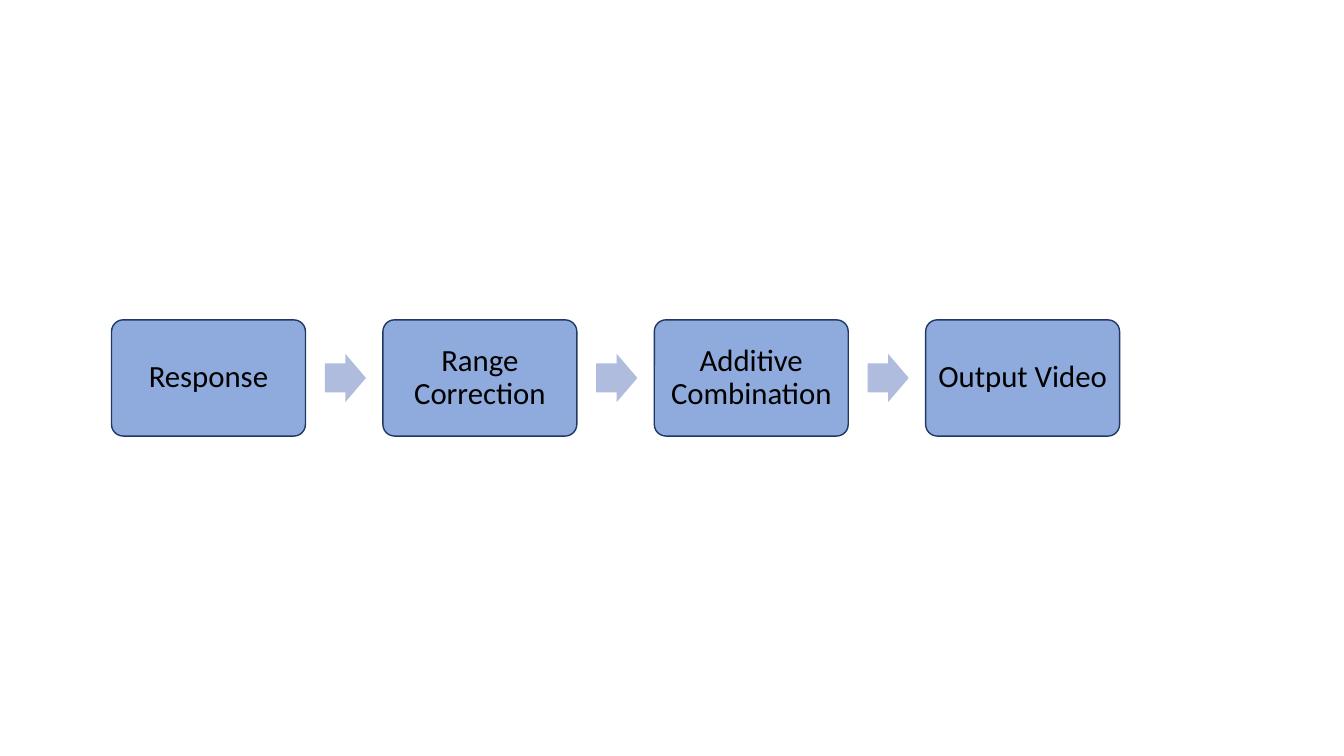
from dataclasses import dataclass

from pptx import Presentation
from pptx.dml.color import RGBColor
from pptx.enum.shapes import MSO_SHAPE
from pptx.enum.text import MSO_ANCHOR, PP_ALIGN
from pptx.shapes.autoshape import Shape
from pptx.slide import Slide
from pptx.util import Pt

BLUE = RGBColor(0x8F, 0xAA, 0xDC)
NAVY = RGBColor(0x20, 0x38, 0x64)
PALE = RGBColor(0xB0, 0xBC, 0xDE)
BLACK = RGBColor(0x00, 0x00, 0x00)

# Layout of the row, in points
LEFT = 79.7
PITCH = 193.85
MIDDLE = 270
ARROW_GAP = 152.3


@dataclass(frozen=True)
class Block:
    kind: MSO_SHAPE
    width: float
    height: float
    fill: RGBColor
    adjust: tuple[float, ...]


STEP = Block(MSO_SHAPE.ROUNDED_RECTANGLE, 138.5, 83, BLUE, (0.1,))
ARROW = Block(MSO_SHAPE.RIGHT_ARROW, 29.4, 34.4, PALE, (0.6, 0.5))

LABELS = ("Response", "Range Correction", "Additive Combination", "Output Video")


def draw_block(slide: Slide, block: Block, left: float) -> Shape:
    """Draw a block centred on the middle line of the row."""
    shape = slide.shapes.add_shape(
        block.kind, Pt(left), Pt(MIDDLE - block.height / 2),
        Pt(block.width), Pt(block.height))
    for index, value in enumerate(block.adjust):
        shape.adjustments[index] = value
    shape.shadow.inherit = False
    shape.fill.solid()
    shape.fill.fore_color.rgb = block.fill
    shape.line.fill.background()
    return shape


def draw_step(slide: Slide, label: str, left: float) -> None:
    """Draw an outlined step with its label."""
    shape = draw_block(slide, STEP, left)
    shape.line.color.rgb = NAVY
    shape.line.width = Pt(1)

    frame = shape.text_frame
    frame.text = label
    frame.word_wrap = True
    frame.vertical_anchor = MSO_ANCHOR.MIDDLE
    frame.margin_left = frame.margin_right = Pt(4)
    frame.margin_top = frame.margin_bottom = Pt(4)

    para = frame.paragraphs[0]
    para.alignment = PP_ALIGN.CENTER
    para.line_spacing = 0.9
    font = para.runs[0].font
    font.name = "Calibri"
    font.size = Pt(22)
    font.color.rgb = BLACK


def main() -> None:
    deck = Presentation()
    deck.slide_width, deck.slide_height = Pt(960), Pt(540)
    slide = deck.slides.add_slide(deck.slide_layouts[6])

    # Steps, with an arrow between each pair
    for index, label in enumerate(LABELS):
        left = LEFT + index * PITCH
        draw_step(slide, label, left)
        if index < len(LABELS) - 1:
            draw_block(slide, ARROW, left + ARROW_GAP)

    deck.save("out.pptx")


if __name__ == "__main__":
    main()
